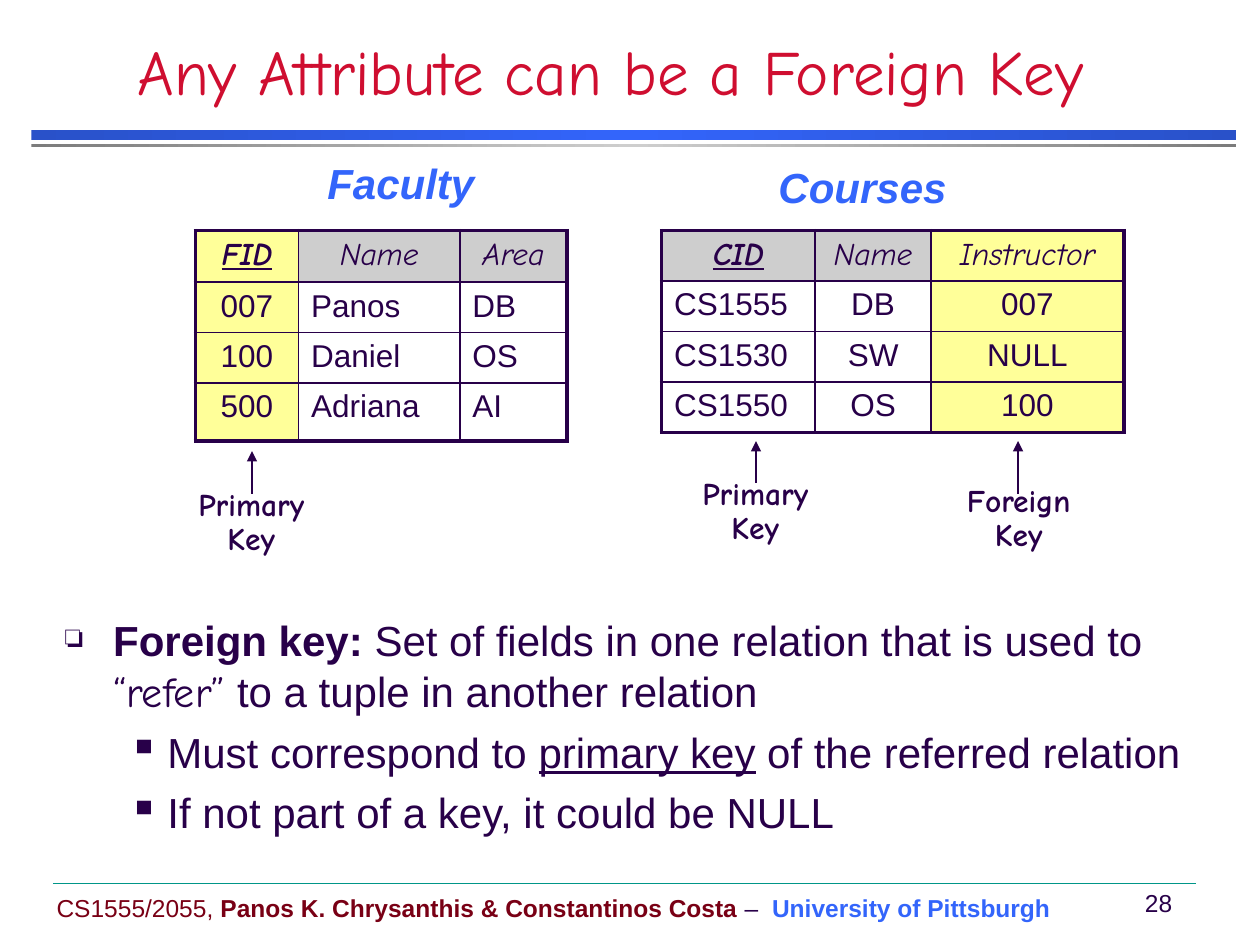
from dataclasses import dataclass

from pptx import Presentation
from pptx.dml.color import RGBColor
from pptx.enum.shapes import MSO_CONNECTOR, MSO_SHAPE
from pptx.enum.text import MSO_ANCHOR as Anchor, PP_ALIGN as Align
from pptx.oxml import parse_xml
from pptx.oxml.ns import nsdecls
from pptx.util import Inches, Pt

INK, BLUE, RED, MAROON, TEAL = "280049", "3365FB", "CF0E30", "790015", "009688"
GRAY, YELLOW = "CECECE", "FFFF99"
COMIC = "Comic Neue"
BASE = {"name": "Arial", "size": Pt(24), "color": INK}
FOOTER = BASE | {"size": Pt(14)}
CELL = BASE | {"size": Pt(18)}
HEADER = CELL | {"name": COMIC, "italic": True}
KEY_HEADER = HEADER | {"bold": True, "underline": True}
KEY_LABEL = CELL | {"name": COMIC, "bold": True}
HEADING = BASE | {"color": BLUE, "bold": True, "italic": True}

Runs = list[tuple[str, dict]]


@dataclass
class Relation:
    name: str
    name_box: tuple[float, float, float, float]
    left: float
    columns: list[float]
    rows: list[float]
    cells: list[list[str]]
    yellow_column: int
    left_aligned: tuple[int, ...]


@dataclass
class KeyLabel:
    text: str
    left: float
    top: float
    arrow_x: float
    arrow_from: float
    arrow_to: float


RELATIONS = [
    Relation("Faculty", (2.5, 1.25, 1.5, 0.47), 1.55,
             [0.82, 1.28, 0.85], [0.41, 0.38, 0.39, 0.46],
             [["FID", "Name", "Area"], ["007", "Panos", "DB"],
              ["100", "Daniel", "OS"], ["500", "Adriana", "AI"]], 0, (1, 2)),
    Relation("Courses", (6.08, 1.28, 1.58, 0.47), 5.25,
             [1.22, 0.92, 1.53], [0.4] * 4,
             [["CID", "Name", "Instructor"], ["CS1555", "DB", "007"],
              ["CS1530", "SW", "NULL"], ["CS1550", "OS", "100"]], 2, (0,)),
]
KEY_LABELS = [
    KeyLabel("Primary Key", 1.33, 3.83, 2, 3.92, 3.58),
    KeyLabel("Foreign Key", 7.42, 3.8, 8.08, 3.92, 3.5),
    KeyLabel("Primary Key", 5.33, 3.75, 6, 3.83, 3.5),
]
BULLETS = [
    ("❏", 75, 0.38, -0.38, [
        ("Foreign key:", BASE | {"bold": True}),
        (" Set of fields in one relation that is used to ", BASE),
        ("“refer”", BASE | {"name": COMIC}),
        (" to a tuple in another relation", BASE)]),
    ("▪", 100, 0.81, -0.31, [
        ("Must correspond to ", BASE),
        ("primary key", BASE | {"underline": True}),
        (" of the referred relation", BASE)]),
    ("▪", 100, 0.81, -0.31, [("If not part of a key, it could be NULL", BASE)]),
]


def rgb(color: str) -> RGBColor:
    return RGBColor.from_string(color)


def xml(tag: str, attributes: str = "", content: str = ""):
    return parse_xml(f'<a:{tag} {nsdecls("a")} {attributes}>{content}</a:{tag}>')


def solid(color: str) -> str:
    return f'<a:srgbClr val="{color}"/>'


def add_runs(paragraph, runs: Runs) -> None:
    for text, formats in runs:
        run = paragraph.add_run()
        run.text = text
        for key, value in formats.items():
            if key == "color":
                run.font.color.rgb = rgb(value)
            else:
                setattr(run.font, key, value)


def add_text(slide, box, runs: Runs, align=Align.LEFT, anchor=Anchor.TOP,
             wrap=True, spacing=None):
    frame = slide.shapes.add_textbox(*map(Inches, box)).text_frame
    frame.word_wrap = wrap
    frame.vertical_anchor = anchor
    paragraph = frame.paragraphs[0]
    paragraph.alignment = align
    paragraph.line_spacing = spacing
    add_runs(paragraph, runs)
    return frame


def add_line(slide, start, end, color: str, width: float, arrow=False) -> None:
    line = slide.shapes.add_connector(MSO_CONNECTOR.STRAIGHT,
                                      *map(Inches, (*start, *end)))
    line.line.color.rgb = rgb(color)
    line.line.width = Pt(width)
    if arrow:
        line.line._get_or_add_ln().append(xml("tailEnd", 'type="triangle"'))
    line._element.spPr.append(xml("effectLst"))


def add_bar(slide, top: float, height: float, edge: str, middle: str) -> None:
    bar = slide.shapes.add_shape(MSO_SHAPE.RECTANGLE,
                                 *map(Inches, (0.25, top, 9.56, height)))
    bar.shadow.inherit = False
    bar.line.fill.background()
    bar.fill.gradient()
    bar.fill.gradient_angle = 0
    stops = bar.fill._fill._gradFill.gsLst
    for stop in list(stops):
        stops.remove(stop)
    for position, color in ((0, edge), (50, middle), (100, edge)):
        stops.append(xml("gs", f'pos="{position * 1000}"', solid(color)))


def add_relation(slide, relation: Relation) -> None:
    add_text(slide, relation.name_box, [(relation.name, HEADING)], spacing=0.9)
    row_count, column_count = len(relation.rows), len(relation.columns)
    table = slide.shapes.add_table(
        row_count, column_count, Inches(relation.left), Inches(1.83),
        Inches(sum(relation.columns)), Inches(sum(relation.rows))).table
    table.first_row = table.horz_banding = False
    for column, width in zip(table.columns, relation.columns):
        column.width = Inches(width)
    for r, (row, height) in enumerate(zip(table.rows, relation.rows)):
        row.height = Inches(height)
        for c, cell in enumerate(row.cells):
            # Thick outer frame, thin inner rules
            outer = {"L": c == 0, "R": c == column_count - 1,
                     "T": r == 0, "B": r == row_count - 1}
            for side, thick in outer.items():
                width = Pt(2.25 if thick else 1)
                cell._tc.get_or_add_tcPr().append(
                    xml(f"ln{side}", f'w="{width}"',
                        f"<a:solidFill>{solid(INK)}</a:solidFill>"))
            if c == relation.yellow_column or r == 0:
                cell.fill.solid()
                color = YELLOW if c == relation.yellow_column else GRAY
                cell.fill.fore_color.rgb = rgb(color)
            else:
                cell.fill.background()
            formats = CELL if r else HEADER if c else KEY_HEADER
            paragraph = cell.text_frame.paragraphs[0]
            left = r > 0 and c in relation.left_aligned
            paragraph.alignment = Align.LEFT if left else Align.CENTER
            add_runs(paragraph, [(relation.cells[r][c], formats)])


def add_key_label(slide, label: KeyLabel) -> None:
    add_text(slide, (label.left, label.top, 1.33, 0.65),
             [(label.text, KEY_LABEL)], Align.CENTER, spacing=0.9)
    add_line(slide, (label.arrow_x, label.arrow_from),
             (label.arrow_x, label.arrow_to), INK, 1.5, arrow=True)


def add_bullets(slide) -> None:
    frame = add_text(slide, (0.42, 4.83, 9.41, 2), [])
    for index, (mark, size, margin, indent, runs) in enumerate(BULLETS):
        paragraph = frame.add_paragraph() if index else frame.paragraphs[0]
        if index:
            paragraph.space_before = Pt(6)
        properties = paragraph._p.get_or_add_pPr()
        properties.set("marL", str(Inches(margin)))
        properties.set("indent", str(Inches(indent)))
        properties.append(xml("buClr", content=solid(INK)))
        properties.append(xml("buSzPct", f'val="{size * 1000}"'))
        properties.append(xml("buChar", f'char="{mark}"'))
        add_runs(paragraph, runs)


def main() -> None:
    presentation = Presentation()
    presentation.slide_width, presentation.slide_height = Inches(10), Inches(7.5)
    slide = presentation.slides.add_slide(presentation.slide_layouts[6])

    # Title and double rule
    add_bar(slide, 1.03, 0.08, "2951C9", BLUE)
    add_bar(slide, 1.14, 0.03, "7C7C7C", GRAY)
    title = BASE | {"name": COMIC, "size": Pt(36), "color": RED}
    add_text(slide, (0.47, 0.33, 8.75, 0.58),
             [("Any Attribute can be a Foreign Key", title)],
             Align.CENTER, Anchor.BOTTOM)

    # Footer
    add_line(slide, (0.42, 7.01), (9.49, 7.01), TEAL, 0.25)
    add_text(slide, (0.35, 7.04, 8.11, 0.33), [
        ("CS1555/2055, ", FOOTER | {"color": MAROON}),
        ("Panos K. Chrysanthis & Constantinos Costa ",
         FOOTER | {"color": MAROON, "bold": True}),
        ("–  ", FOOTER),
        ("University of Pittsburgh", FOOTER | {"color": BLUE, "bold": True}),
    ], anchor=Anchor.MIDDLE, wrap=False)
    add_text(slide, (8.95, 7, 0.49, 0.33), [("28", FOOTER)],
             Align.CENTER, Anchor.MIDDLE, wrap=False)

    # Relations, key labels and definition
    for relation in RELATIONS:
        add_relation(slide, relation)
    add_bullets(slide)
    for label in KEY_LABELS:
        add_key_label(slide, label)

    presentation.save("out.pptx")


if __name__ == "__main__":
    main()
